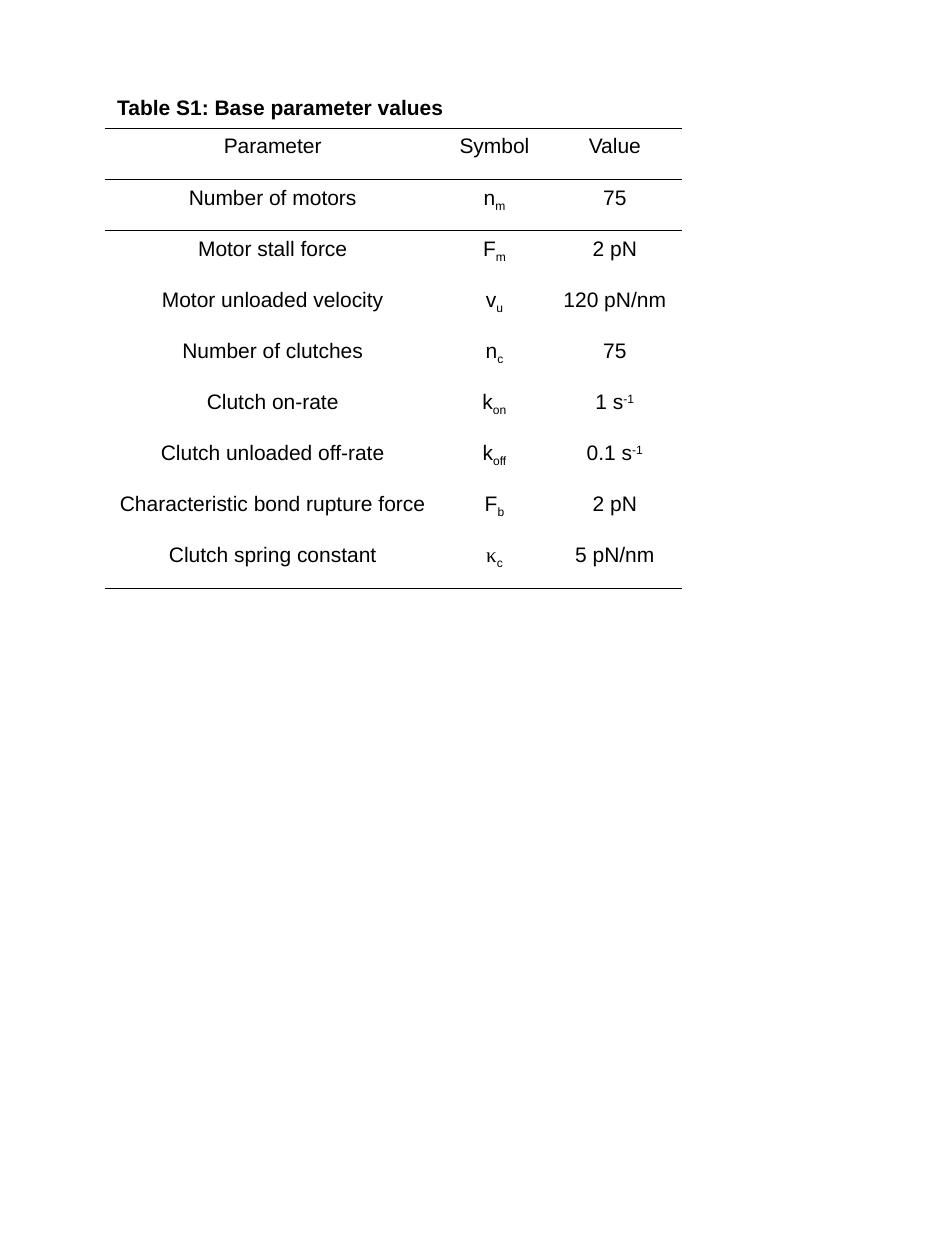
from lxml.etree import SubElement
from pptx import Presentation
from pptx.dml.color import RGBColor
from pptx.enum.text import MSO_ANCHOR, MSO_AUTO_SIZE, PP_ALIGN
from pptx.oxml.ns import qn
from pptx.util import Inches, Pt

BLACK = "000000"
NO_STYLE = "{2D5ABB26-0587-4C30-8999-92F81FD0307C}"


def style(p, align, bold=False):
    """Set the font, colour and alignment of a paragraph."""
    p.alignment = align
    p.font.name, p.font.size, p.font.bold = "Arial", Pt(12), bold
    p.font.color.rgb = RGBColor.from_string(BLACK)


def add_border(cell, side):
    """Draw a 1 pt rule on one side (T or B) of a cell."""
    ln = SubElement(cell._tc.get_or_add_tcPr(), qn(f"a:ln{side}"), w=str(Pt(1)))
    fill = SubElement(ln, qn("a:solidFill"))
    SubElement(fill, qn("a:srgbClr"), val=BLACK)


# Each cell is (text, subscript or superscript)
rows = [
    [("Parameter", ""), ("Symbol", ""), ("Value", "")],
    [("Number of motors", ""), ("n", "m"), ("75", "")],
    [("Motor stall force", ""), ("F", "m"), ("2 pN", "")],
    [("Motor unloaded velocity", ""), ("v", "u"), ("120 pN/nm", "")],
    [("Number of clutches", ""), ("n", "c"), ("75", "")],
    [("Clutch on-rate", ""), ("k", "on"), ("1 s", "-1")],
    [("Clutch unloaded off-rate", ""), ("k", "off"), ("0.1 s", "-1")],
    [("Characteristic bond rupture force", ""), ("F", "b"), ("2 pN", "")],
    [("Clutch spring constant", ""), ("κ", "c"), ("5 pN/nm", "")],
]
borders = {0: "TB", 1: "T", len(rows) - 1: "B"}

prs = Presentation()
prs.slide_width, prs.slide_height = Inches(7.5), Inches(10)
s = prs.slides.add_slide(prs.slide_layouts[5])

title = s.shapes.title
title.left, title.top = Inches(0.83), Inches(0.7)
title.width, title.height = Inches(4.67), Inches(0.3)
tf = title.text_frame
tf.text = "Table S1: Base parameter values"
tf.word_wrap = True
tf.auto_size = MSO_AUTO_SIZE.NONE
tf.vertical_anchor = MSO_ANCHOR.TOP
style(tf.paragraphs[0], PP_ALIGN.LEFT, bold=True)

frame = s.shapes.add_table(len(rows), 3, Inches(0.83), Inches(1.02),
                           Inches(4.58), Inches(3.65))
table = frame.table
table.first_row = table.horz_banding = False
table._tbl.tblPr.find(qn("a:tableStyleId")).text = NO_STYLE
for col, width in zip(table.columns, (2.67, 0.85, 1.06)):
    col.width = Inches(width)

for i, row in enumerate(rows):
    for j, (text, script) in enumerate(row):
        cell = table.cell(i, j)
        for side in borders.get(i, ""):
            add_border(cell, side)
        cell.fill.background()
        p = cell.text_frame.paragraphs[0]
        style(p, PP_ALIGN.CENTER)
        r = p.add_run()
        r.text = text
        if text == "κ":
            r.font.name = "Times New Roman"
        if script:
            r = p.add_run()
            r.text = script
            r.font._element.set("baseline", "30000" if j == 2 else "-25000")

prs.save("out.pptx")
